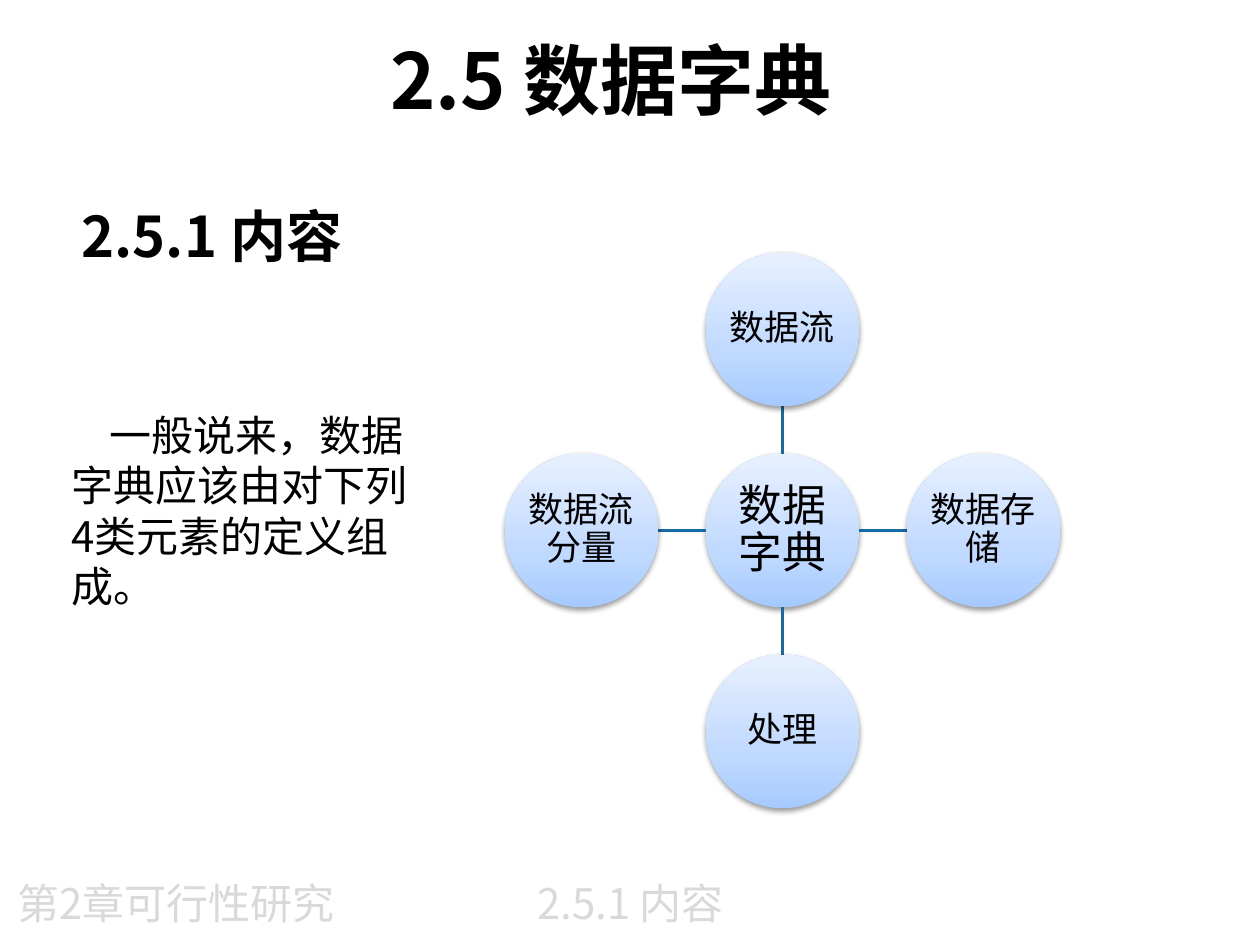
import copy

import pptx
import pptx.dml.color
import pptx.enum.shapes
import pptx.enum.text
import pptx.oxml
import pptx.oxml.ns
import pptx.util
from lxml import etree

Inches = pptx.util.Inches
Pt = pptx.util.Pt
RGBColor = pptx.dml.color.RGBColor
ALIGN = pptx.enum.text.PP_ALIGN
ANCHOR = pptx.enum.text.MSO_ANCHOR

BLACK = RGBColor(0x00, 0x00, 0x00)
PALE_GRAY = RGBColor(0xD9, 0xD9, 0xD9)
SPOKE_BLUE = RGBColor(0x17, 0x6B, 0xA4)
GRADIENT = [
    (0, RGBColor(0xA6, 0xCA, 0xFF)),
    (0.35, RGBColor(0xC0, 0xD9, 0xFF)),
    (1, RGBColor(0xE7, 0xF0, 0xFF)),
]
CJK_FONT = "Noto Sans CJK SC"
LATIN_FONT = "Arial"

HUB_X, HUB_Y = 6.21, 4.21
DIAMETER = 1.22
SPACING = 1.595
SATELLITES = [("数据流", 0, -1), ("数据存储", 1, 0), ("处理", 0, 1), ("数据流分量", -1, 0)]


def set_values(target, values):
    """Set every attribute of the target named in the dict."""
    for name, value in values.items():
        setattr(target, name, value)


def add_run(paragraph, text, size, font_name=CJK_FONT, color=BLACK, bold=False):
    """Append a run with its Latin and East Asian typeface."""
    run = paragraph.add_run()
    run.text = text
    set_values(run.font, {"size": Pt(size), "bold": bold, "name": font_name})
    run.font.color.rgb = color
    east_asian = etree.SubElement(run.font._element, pptx.oxml.ns.qn("a:ea"))
    east_asian.set("typeface", font_name)


def add_title(slide):
    """Place and fill the title placeholder."""
    title = slide.shapes.title
    set_values(title, {"left": Inches(0.35), "top": Inches(0),
                       "width": Inches(9), "height": Inches(1.25)})
    title.text_frame.vertical_anchor = ANCHOR.MIDDLE
    paragraph = title.text_frame.paragraphs[0]
    paragraph.alignment = ALIGN.CENTER
    add_run(paragraph, "2.5 ", 44, bold=True)
    add_run(paragraph, "数据字典", 44, LATIN_FONT, bold=True)


def add_text(slide, box, text, size, alignment=ALIGN.LEFT, anchor=ANCHOR.TOP, **run_format):
    """Add a wrapping text box and return its paragraph."""
    frame = slide.shapes.add_textbox(*map(Inches, box)).text_frame
    set_values(frame, {"word_wrap": True, "vertical_anchor": anchor})
    paragraph = frame.paragraphs[0]
    paragraph.alignment = alignment
    add_run(paragraph, text, size, **run_format)
    return paragraph


def add_shadow(shape):
    """Give the shape a soft shadow straight below it."""
    shape.shadow.inherit = False
    effects = shape._element.spPr.find(pptx.oxml.ns.qn("a:effectLst"))
    effects.append(pptx.oxml.parse_xml(
        f'<a:outerShdw {pptx.oxml.ns.nsdecls("a")} blurRad="{Pt(3.1)}" dist="{Pt(1.6)}"'
        ' dir="5400000" rotWithShape="0"><a:srgbClr val="000000">'
        '<a:alpha val="38000"/></a:srgbClr></a:outerShdw>'))


def fill_gradient(shape):
    """Fill the shape with the blue gradient rising from its bottom."""
    shape.fill.gradient()
    shape.fill.gradient_angle = 90
    stop_list = shape._element.spPr.find(".//" + pptx.oxml.ns.qn("a:gsLst"))
    stop_list.append(copy.deepcopy(stop_list[0]))
    for stop, (position, color) in zip(shape.fill.gradient_stops, GRADIENT):
        stop.position = position
        stop.color.rgb = color


def add_circle(slide, center_x, center_y, text, size, inset):
    """Add a labelled circle around a center."""
    circle = slide.shapes.add_shape(
        pptx.enum.shapes.MSO_SHAPE.OVAL,
        Inches(center_x - DIAMETER / 2), Inches(center_y - DIAMETER / 2),
        Inches(DIAMETER), Inches(DIAMETER))
    fill_gradient(circle)
    circle.line.fill.background()
    add_shadow(circle)
    sides = ("margin_left", "margin_top", "margin_right", "margin_bottom")
    set_values(circle.text_frame, dict.fromkeys(sides, Inches(inset)))
    set_values(circle.text_frame, {"word_wrap": True, "vertical_anchor": ANCHOR.MIDDLE})
    paragraph = circle.text_frame.paragraphs[0]
    set_values(paragraph, {"alignment": ALIGN.CENTER, "line_spacing": 0.9})
    add_run(paragraph, text, size, LATIN_FONT)


def add_spoke(slide, step_x, step_y):
    """Connect the hub's edge to the satellite in the given direction."""
    near, far = DIAMETER / 2, SPACING - DIAMETER / 2
    spoke = slide.shapes.add_connector(
        pptx.enum.shapes.MSO_CONNECTOR.STRAIGHT,
        Inches(HUB_X + step_x * near), Inches(HUB_Y + step_y * near),
        Inches(HUB_X + step_x * far), Inches(HUB_Y + step_y * far))
    spoke.line.width = Pt(2)
    spoke.line.color.rgb = SPOKE_BLUE
    etree.SubElement(spoke._element.spPr, pptx.oxml.ns.qn("a:effectLst"))


def add_radial_diagram(slide):
    """Draw the hub with its four satellites."""
    add_circle(slide, HUB_X, HUB_Y, "数据字典", 25, 0.02)
    for text, step_x, step_y in SATELLITES:
        add_spoke(slide, step_x, step_y)
        add_circle(slide, HUB_X + step_x * SPACING, HUB_Y + step_y * SPACING, text, 20, 0.01)


def main():
    """Build the slide and save it."""
    presentation = pptx.Presentation()
    set_values(presentation, {"slide_width": Inches(10), "slide_height": Inches(7.5)})
    slide = presentation.slides.add_slide(presentation.slide_layouts[5])
    footer = {"alignment": ALIGN.CENTER, "anchor": ANCHOR.MIDDLE, "color": PALE_GRAY}
    add_text(slide, (3.04, 6.9, 3.93, 0.52), "2.5.1 内容", 24, **footer)
    add_title(slide)
    add_text(slide, (0.55, 1.55, 2.63, 0.64), "2.5.1 内容", 32, bold=True)
    add_radial_diagram(slide)
    body = add_text(slide, (0.47, 3.2, 3.03, 1.72),
                    "一般说来，数据字典应该由对下列4类元素的定义组成。", 24)
    body._p.get_or_add_pPr().set("indent", str(Inches(0.3)))
    add_text(slide, (-0.12, 6.9, 3.03, 0.52), "第2章可行性研究", 24, **footer)
    presentation.save("out.pptx")


if __name__ == "__main__":
    main()
